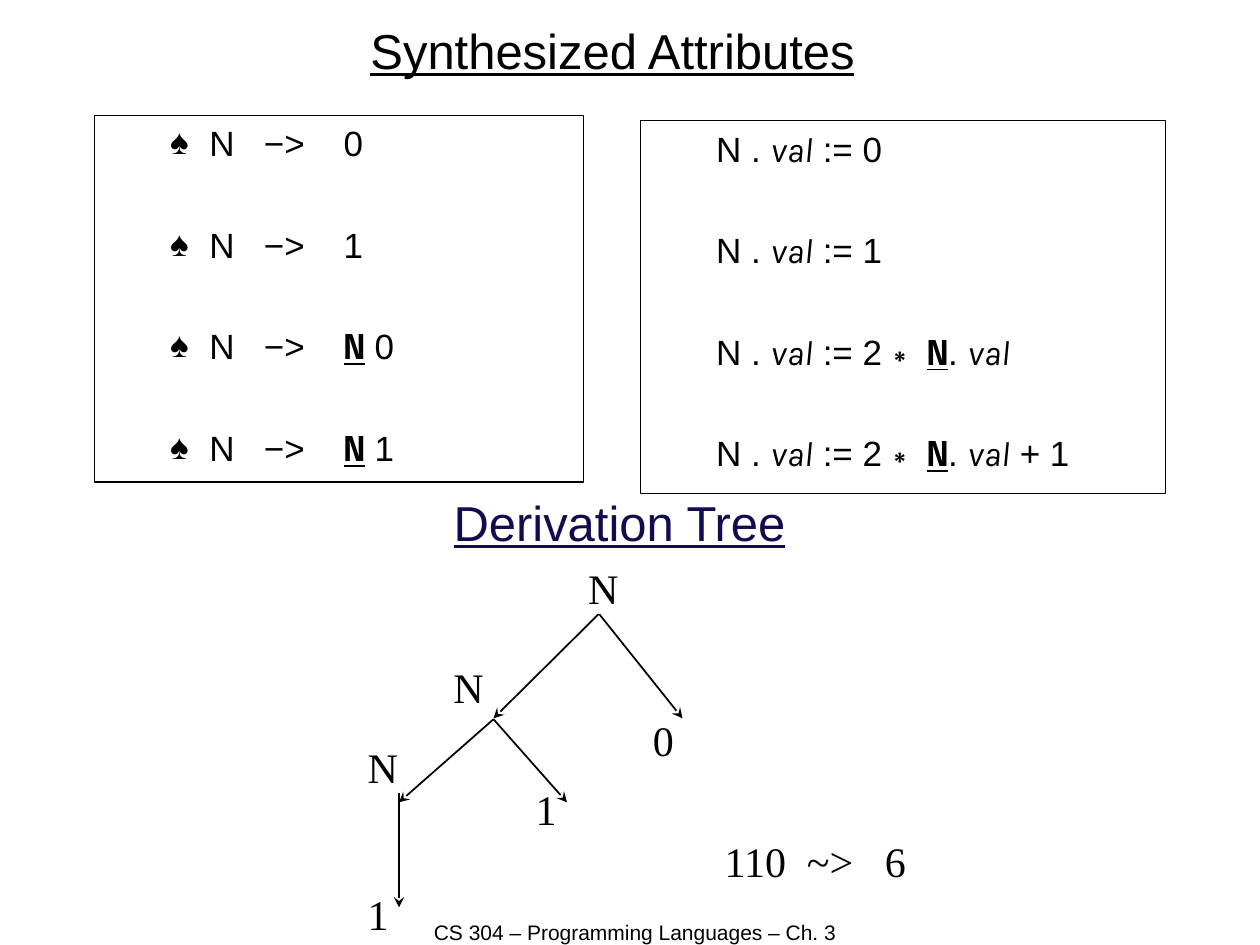
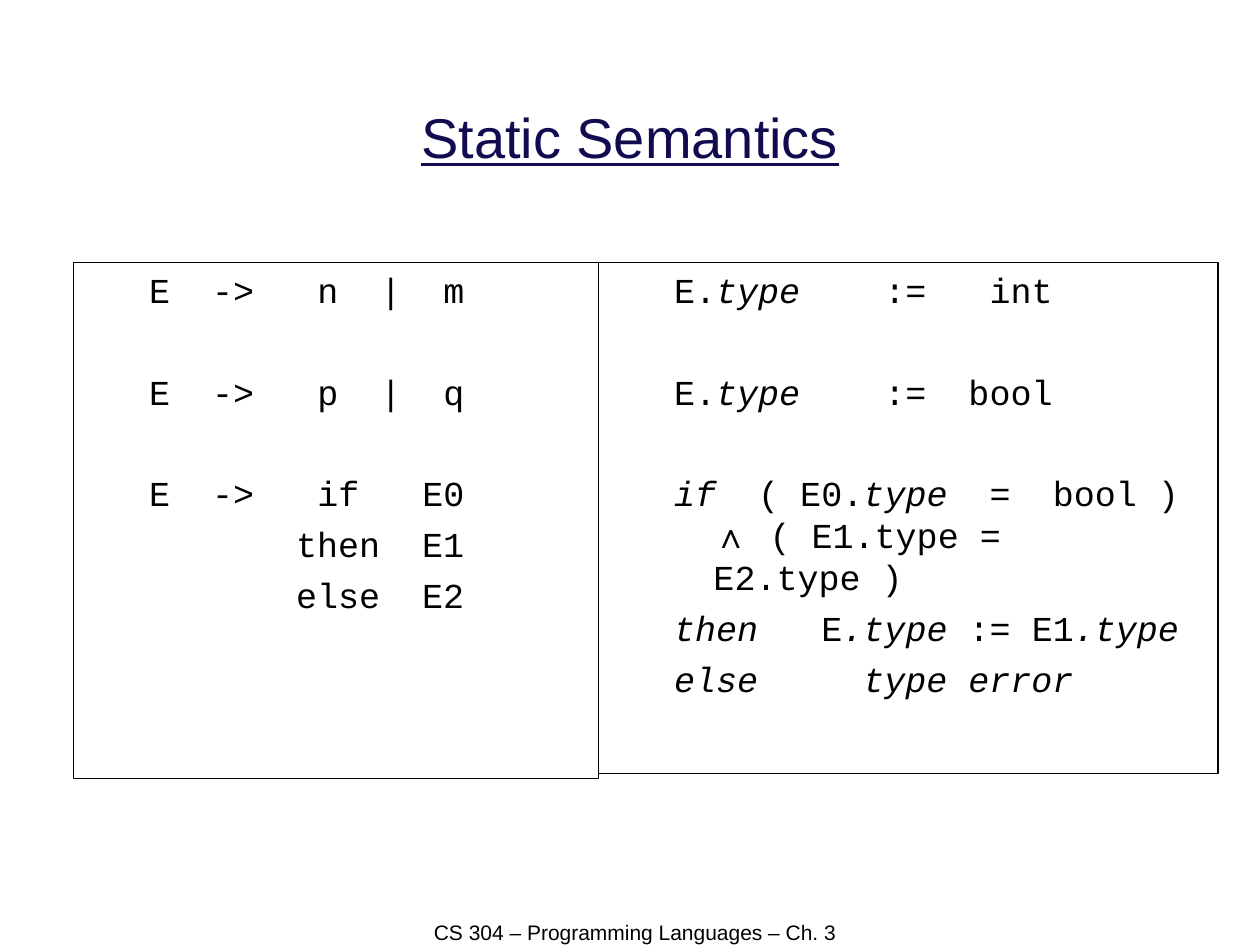
from lxml import etree
from pptx import Presentation
from pptx.dml.color import RGBColor
from pptx.enum.shapes import MSO_CONNECTOR as Connector
from pptx.enum.text import MSO_ANCHOR as Anchor, MSO_AUTO_SIZE as AutoSize, PP_ALIGN as Align
from pptx.oxml.ns import qn
from pptx.util import Pt

COLORS = {"ink": "000000", "navy": "110C50"}
STYLES = {
    "plain": ("Arial", False, False, False),
    "value": ("Karla", False, True, False),
    "child": ("Noto Sans Mono", True, False, True),
    "code": ("Courier New", False, False, False),
    "slanted": ("Courier New", False, True, False),
    "symbol": ("Arial", True, False, False),
}
LINE_HEIGHT = 24
CLOSE, APART = 5, 34
LIST_LEFT, HANGING = 58.5, -22.5
CODE_INDENT = 84


def write_label(shape, box, text, size, font="Arial", color="ink", align=Align.CENTER,
                underline=False, anchor=Anchor.TOP, wrap=True):
    shape.left, shape.top, shape.width, shape.height = map(Pt, box)
    text_frame = shape.text_frame
    text_frame.text = text
    text_frame.word_wrap = wrap
    text_frame.auto_size = AutoSize.NONE
    text_frame.vertical_anchor = anchor
    paragraph = text_frame.paragraphs[0]
    paragraph.alignment = align
    run_font = paragraph.runs[0].font
    run_font.name, run_font.size, run_font.underline = font, Pt(size), underline
    run_font.color.rgb = RGBColor.from_string(COLORS[color])


def write_list(shape, box, rows, bullet=None):
    shape.left, shape.top, shape.width, shape.height = map(Pt, box)
    shape.line.color.rgb = RGBColor.from_string(COLORS["ink"])
    shape.line.width = Pt(0.75)
    text_frame = shape.text_frame
    text_frame.word_wrap = True
    text_frame.auto_size = AutoSize.NONE
    text_frame.vertical_anchor = Anchor.TOP
    for index, (gap, extra_indent, pieces) in enumerate(rows):
        paragraph = text_frame.add_paragraph() if index else text_frame.paragraphs[0]
        paragraph.space_before = Pt(gap)
        paragraph.line_spacing = Pt(LINE_HEIGHT)
        properties = paragraph._p.get_or_add_pPr()
        start = LIST_LEFT + HANGING + extra_indent
        properties.set("marL", str(Pt(start if extra_indent else LIST_LEFT)))
        properties.set("indent", str(Pt(0 if extra_indent else HANGING)))
        if bullet:
            etree.SubElement(properties, qn("a:buChar")).set("char", bullet)
        else:
            etree.SubElement(properties, qn("a:buNone"))
        for text, style in pieces:
            run = paragraph.add_run()
            run.text = text
            font = run.font
            font.name, font.bold, font.italic, font.underline = STYLES[style]
            font.size = Pt(20)
            font.color.rgb = RGBColor.from_string(COLORS["ink"])


presentation = Presentation()
presentation.slide_width, presentation.slide_height = Pt(720), Pt(540)
two_lists = presentation.slide_layouts[3]
attributes_slide, semantics_slide = [presentation.slides.add_slide(two_lists) for _ in range(2)]
for slide in presentation.slides:
    footer = slide.shapes.add_textbox(0, 0, 0, 0)
    write_label(footer, (228, 522, 270, 18), "CS 304 – Programming Languages – Ch. 3", 12)

title, productions, rules = attributes_slide.placeholders
write_label(title, (204, 8, 292, 41), "Synthesized Attributes", 28, underline=True, wrap=False)

production_rows = []
for child, digit in (("", "0"), ("", "1"), ("N", " 0"), ("N", " 1")):
    pieces = [("Ν   −>    ", "plain")]
    if child:
        pieces.append((child, "child"))
    pieces.append((digit, "plain"))
    production_rows.append((APART if production_rows else CLOSE, 0, pieces))
write_list(productions, (54, 66, 279.5, 209.5), production_rows, "♠")

target = [("Ν . ", "plain"), ("val", "value")]
doubled = target + [(" := 2∗ ", "plain"), ("N", "child"), (". ", "plain"), ("val", "value")]
write_list(rules, (366, 69, 300, 213), [
    (CLOSE, 0, target + [(" := 0", "plain")]),
    (APART, 0, target + [(" := 1", "plain")]),
    (APART, 0, doubled),
    (APART, 0, doubled + [(" + 1", "plain")]),
])

tree_heading = attributes_slide.shapes.add_textbox(0, 0, 0, 0)
write_label(tree_heading, (48, 276, 612, 44.5), "Derivation Tree", 28, color="navy",
            underline=True, anchor=Anchor.MIDDLE)

branches = [
    (342, 351, 282, 410.5),
    (342.5, 351, 390, 410.5),
    (282, 411, 324, 458.5),
    (282, 411, 228, 458.5),
    (228, 453, 228, 518.5),
]
for branch in branches:
    connector = attributes_slide.shapes.add_connector(Connector.STRAIGHT, *map(Pt, branch))
    connector.line.color.rgb = RGBColor.from_string(COLORS["ink"])
    connector.line.width = Pt(1)
    etree.SubElement(connector.line._get_or_add_ln(), qn("a:tailEnd")).set("type", "stealth")
    etree.SubElement(connector._element.spPr, qn("a:effectLst"))

tree_labels = [
    ("N", 329, 318, 32),
    ("N", 252, 374.5, 32),
    ("N", 203, 420, 32),
    ("1", 203, 504, 27),
    ("1", 299, 444, 27),
    ("0", 366, 405, 27),
    ("110  ~>   6", 407, 474, 119),
]
for text, left, top, width in tree_labels:
    label = attributes_slide.shapes.add_textbox(0, 0, 0, 0)
    write_label(label, (left, top, width, 36), text, 24, "Times New Roman",
                align=Align.LEFT, wrap=False)

title, productions, rules = semantics_slide.placeholders
write_label(title, (54, 32.5, 612, 90), "Static Semantics", 32, color="navy",
            underline=True, anchor=Anchor.MIDDLE)

write_list(productions, (42, 150, 300, 295), [
    (CLOSE, 0, [("E  ->   n  |  m", "code")]),
    (APART, 0, [("E  ->   p  |  q", "code")]),
    (APART, 0, [("E  ->   if   E0", "code")]),
    (CLOSE, CODE_INDENT, [("then  E1", "code")]),
    (CLOSE, CODE_INDENT, [("else  E2", "code")]),
])

expression_type = [("E.", "code"), ("type", "slanted")]
write_list(rules, (342, 150, 354, 292), [
    (CLOSE, 0, expression_type + [("    :=   int", "code")]),
    (APART, 0, expression_type + [("    :=  bool", "code")]),
    (APART, 0, [("if", "slanted"), ("  ( E0.", "code"), ("type", "slanted"),
                ("  =  bool ) ", "code"), ("∧", "symbol"),
                (" ( E1.type = E2.type )", "code")]),
    (CLOSE, 0, [("then   ", "slanted"), ("E", "code"), (".type ", "slanted"),
                (":= E1", "code"), (".type", "slanted")]),
    (CLOSE, 0, [("else     type error", "slanted")]),
])

presentation.save("out.pptx")
